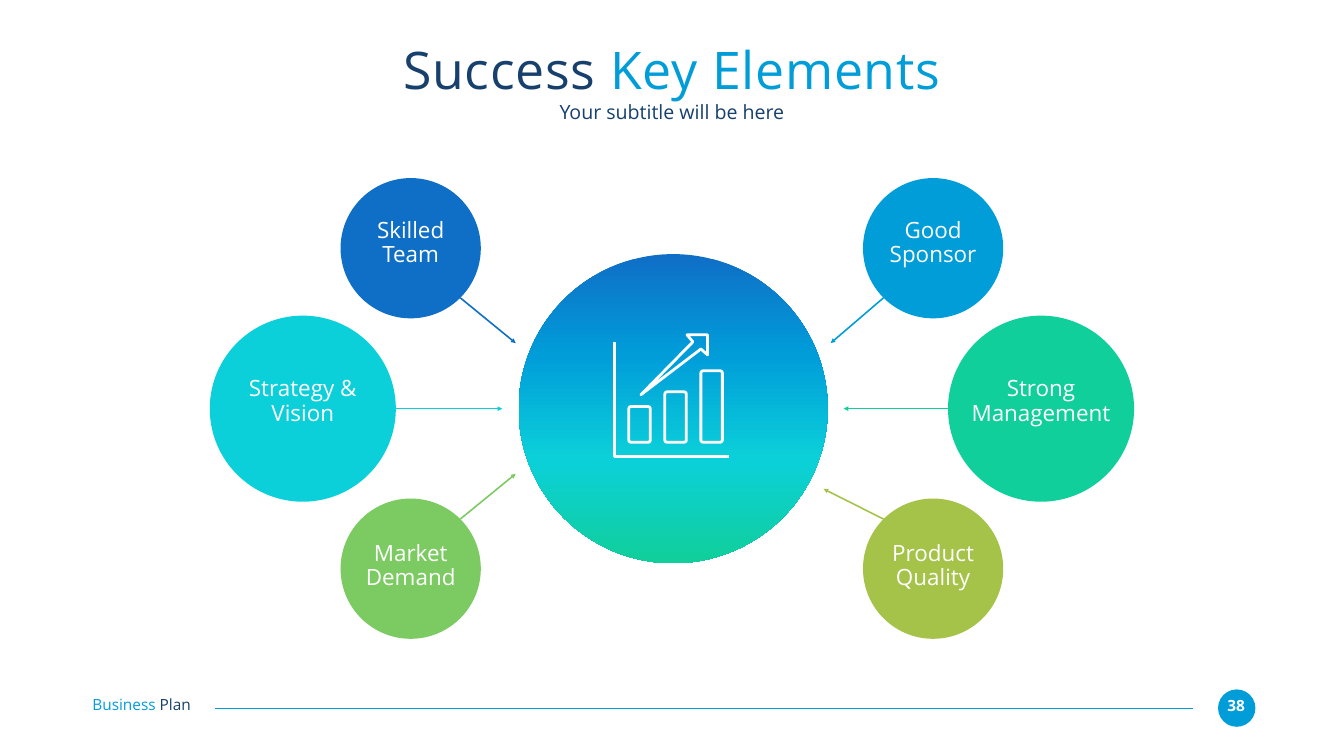
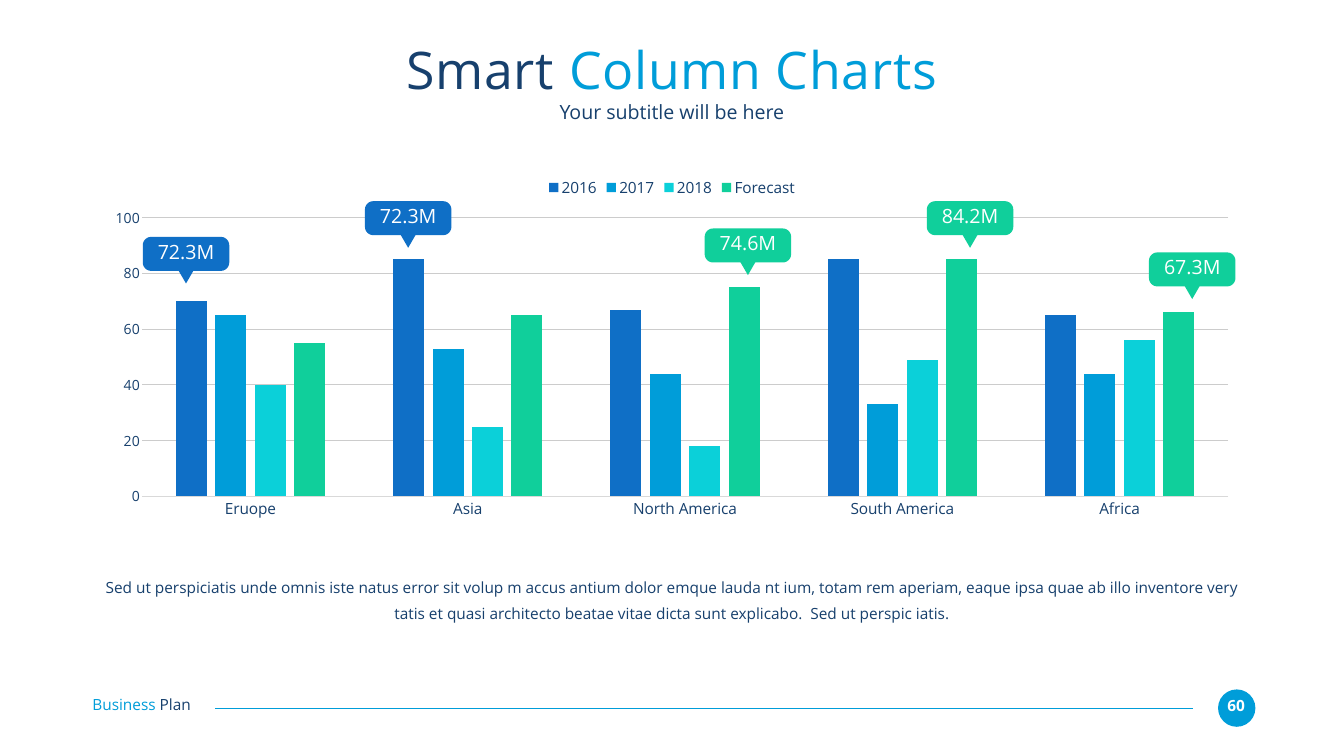
"""Build two business plan slides: key elements of success and a column chart."""
import math

import lxml.etree
import pptx
import pptx.chart.data
import pptx.dml.color
import pptx.enum.chart
import pptx.enum.shapes
import pptx.enum.text
import pptx.oxml.ns
import pptx.util

RGBColor = pptx.dml.color.RGBColor
Pt = pptx.util.Pt
SHAPE = pptx.enum.shapes.MSO_SHAPE
ALIGN = pptx.enum.text.PP_ALIGN
ANCHOR = pptx.enum.text.MSO_ANCHOR

NAVY = RGBColor(0x17, 0x40, 0x6D)
BLUE = RGBColor(0x0F, 0x6F, 0xC6)
SKY = RGBColor(0x00, 0x9D, 0xD9)
CYAN = RGBColor(0x0B, 0xD0, 0xD9)
MINT = RGBColor(0x10, 0xCF, 0x9B)
GREEN = RGBColor(0x7C, 0xCA, 0x62)
OLIVE = RGBColor(0xA5, 0xC2, 0x49)
WHITE = RGBColor(0xFF, 0xFF, 0xFF)
GRID_GREY = RGBColor(0xCC, 0xCC, 0xCC)
AXIS_GREY = RGBColor(0xD9, 0xD9, 0xD9)

FONT = "Open Sans"
WIDTH, HEIGHT = pptx.util.Inches(26.67), pptx.util.Inches(15)
CELL = HEIGHT / 90
MARGIN, CONTENT = 11, 138
CENTER = 80


def cells(*counts):
    """Turn counts of grid cells into lengths."""
    return [round(n * CELL) for n in counts]


def apply(obj, **values):
    """Set each named value as an attribute of obj."""
    for name, value in values.items():
        setattr(obj, name, value)


def add_tag(parent, tag, **attrs):
    """Append a drawing element with attributes to parent."""
    return lxml.etree.SubElement(parent, pptx.oxml.ns.qn(tag), attrs)


def paint(shape, fill=None, line=None, weight=4):
    """Give a shape its fill and outline, without a shadow."""
    shape.shadow.inherit = False
    for part, color in ((shape.fill, fill), (shape.line.fill, line)):
        if color is None:
            part.background()
        else:
            part.solid()
            part.fore_color.rgb = color
    if line is not None:
        shape.line.width = Pt(weight)
    return shape


def add_text(s, box, lines, size, spacing=0.9, align=ALIGN.CENTER,
             anchor=ANCHOR.TOP, bold=False, tracking=0, after=0):
    """Add a text box; each line is a list of (text, color) runs."""
    tf = s.shapes.add_textbox(*cells(*box)).text_frame
    apply(tf, word_wrap=True, vertical_anchor=anchor, margin_left=0,
          margin_right=0, margin_top=0, margin_bottom=0)
    for i, runs in enumerate(lines):
        p = tf.add_paragraph() if i else tf.paragraphs[0]
        apply(p, alignment=align, line_spacing=spacing, space_after=Pt(after))
        for text, color in runs:
            r = p.add_run()
            r.text = text
            apply(r.font, name=FONT, size=Pt(size), bold=bold)
            r.font.color.rgb = color
            if tracking:
                r.font._element.set("spc", str(tracking * 100))


def add_circle(s, cx, cy, diameter, color):
    """Add a filled circle around a centre."""
    box = cells(cx - diameter / 2, cy - diameter / 2, diameter, diameter)
    return paint(s.shapes.add_shape(SHAPE.OVAL, *box), color)


def add_line(s, start, end, color, weight, arrow=False):
    """Add a straight line, optionally with an arrowhead at its end."""
    straight = pptx.enum.shapes.MSO_CONNECTOR.STRAIGHT
    line = s.shapes.add_connector(straight, *cells(*start, *end))
    line.line.color.rgb = color
    line.line.width = Pt(weight)
    if arrow:
        add_tag(line._element.xpath(".//a:ln")[0], "a:tailEnd", type="triangle")
    add_tag(line._element.xpath("p:spPr")[0], "a:effectLst")


def add_outline(s, points, close=True):
    """Add a freeform through points given in cells."""
    first, *rest = [cells(*point) for point in points]
    builder = s.shapes.build_freeform(*first)
    builder.add_line_segments(rest, close=close)
    return builder.convert_to_shape()


def add_frame(prs, lead, accent, number):
    """Add a slide with the shared title, subtitle and footer."""
    s = prs.slides.add_slide(prs.slide_layouts[6])
    add_circle(s, 147.25, 84.3, 4.45, SKY)
    add_text(s, (145.4, 83.1, 3.55, 2.2), [[(number, WHITE)]], 22, bold=True)
    add_line(s, (142, 84.3), (25.6, 84.3), SKY, 1.5)
    add_text(s, (MARGIN, 83.05, 15.55, 2.2),
             [[("Business ", SKY), ("Plan", NAVY)]], 22, align=ALIGN.LEFT)
    add_text(s, (MARGIN, 4.4, CONTENT, 7.6), [[(lead, NAVY), (accent, SKY)]],
             74, spacing=1, anchor=ANCHOR.MIDDLE, tracking=1)
    add_text(s, (MARGIN, 12.2, CONTENT, 2.95),
             [[("Your subtitle will be here", NAVY)]], 28)
    return s


def add_hub(s):
    """Add the large gradient circle in the middle."""
    hub = add_circle(s, 80.15, 48.65, 36.8, BLUE)
    hub.fill.gradient()
    hub.fill.gradient_angle = 270
    stops = hub._element.xpath(".//a:gsLst")[0]
    stops.clear()
    for share, color in ((0, BLUE), (33, SKY), (66, CYAN), (100, MINT)):
        stop = add_tag(stops, "a:gs", pos=str(share * 1000))
        add_tag(stop, "a:srgbClr", val=str(color))


def add_growth_icon(s):
    """Add the white icon of axes, rising bars and an arrow."""
    axes = [(73.2, 40.7), (73.2, 54.35), (86.85, 54.35)]
    arrow = [(76.3, 47), (82.5, 40.7), (81.8, 39.85),
             (84.25, 39.85), (84.25, 42.25), (83.45, 41.55)]
    paint(add_outline(s, axes, close=False), line=WHITE)
    paint(add_outline(s, arrow), line=WHITE)
    for i, height in enumerate((4.25, 6, 8.5)):
        box = cells(74.87 + 4.29 * i, 52.65 - height, 2.56, height)
        bar = s.shapes.add_shape(SHAPE.ROUNDED_RECTANGLE, *box)
        bar.adjustments[0] = 0.1
        paint(bar, line=WHITE)


def add_element(s, lines, side, row, color, tip):
    """Add one labelled circle and its arrow; side is -1 left or 1 right."""
    reach, diameter, cy, label_cy, turn = (
        (31.1, 16.7, 29.55, 29.3, 45),
        (43.95, 22.15, 48.65, 48.2, 0),
        (31.1, 16.7, 67.7, 67.75, -45),
    )[row]
    cx, angle = CENTER + side * reach, math.radians(turn)
    start = (cx - side * diameter / 2 * math.cos(angle),
             cy + diameter / 2 * math.sin(angle))
    add_circle(s, cx, cy, diameter, color)
    add_line(s, start, tip, color, 2.25, arrow=True)
    width = 17.5 if len(lines) > 1 else 13.4
    add_text(s, (cx - width / 2, label_cy - 3.25, width, 6.5),
             [[(line, WHITE)] for line in lines], 32)


def add_callout(s, x, y, text, color):
    """Add a rounded label with a pointer below it."""
    width, height, radius, half, drop = 10.3, 4.05, 1, 0.87, 1.5
    corners = ((width - radius, radius, -90), (width - radius, height - radius, 0),
               (radius, height - radius, 90), (radius, radius, 180))
    points = []
    for i, (cx, cy, begin) in enumerate(corners):
        for step in range(0, 91, 15):
            a = math.radians(begin + step)
            points.append((x + cx + radius * math.cos(a),
                           y + cy + radius * math.sin(a)))
        if i == 1:
            points += [(x + width / 2 + half, y + height),
                       (x + width / 2, y + height + drop),
                       (x + width / 2 - half, y + height)]
    paint(add_outline(s, points), color)
    add_text(s, (x + 0.85, y + 0.63, width - 1.7, 2.8), [[(text, WHITE)]], 28)


def set_font(font, size):
    """Give chart text the common font and colour."""
    apply(font, name=FONT, size=Pt(size))
    font.color.rgb = NAVY


def add_column_chart(s):
    """Add the clustered columns by region and year."""
    data = pptx.chart.data.CategoryChartData()
    data.categories = ["Eruope", "Asia", "North America", "South America", "Africa"]
    series = (
        ("2016", (70, 85, 67, 85, 65), BLUE),
        ("2017", (65, 53, 44, 33, 44), SKY),
        ("2018", (40, 25, 18, 49, 56), CYAN),
        ("Forecast", (55, 65, 75, 85, 66), MINT),
    )
    for name, values, _ in series:
        data.add_series(name, values)
    kind = pptx.enum.chart.XL_CHART_TYPE.COLUMN_CLUSTERED
    box = cells(MARGIN, 20.3, CONTENT, 42.3)
    chart = s.shapes.add_chart(kind, *box, data).chart
    set_font(chart.font, 22)
    apply(chart, has_title=False, has_legend=True)
    apply(chart.legend, include_in_layout=False,
          position=pptx.enum.chart.XL_LEGEND_POSITION.TOP)
    set_font(chart.legend.font, 22)
    plot = chart.plots[0]
    apply(plot, gap_width=219, overlap=-27, vary_by_categories=False)
    for ser, (_, _, color) in zip(plot.series, series):
        ser.format.fill.solid()
        ser.format.fill.fore_color.rgb = color
    cat, val = chart.category_axis, chart.value_axis
    for axis, size in ((cat, 22), (val, 20)):
        set_font(axis.tick_labels.font, size)
        axis.major_tick_mark = pptx.enum.chart.XL_TICK_MARK.NONE
    apply(val, minimum_scale=0, maximum_scale=100, major_unit=20,
          has_major_gridlines=True)
    val.format.line.fill.background()
    for line, color, weight in ((cat.format.line, AXIS_GREY, 0.75),
                                (val.major_gridlines.format.line, GRID_GREY, 1)):
        line.color.rgb = color
        line.width = Pt(weight)


def build_key_elements(prs):
    """Build the slide of six elements around a hub."""
    s = add_frame(prs, "Success ", "Key Elements", "38")
    add_hub(s)
    for element in (
        (["Skilled Team"], -1, 0, BLUE, (61.4, 40.85)),
        (["Strategy & Vision"], -1, 1, CYAN, (59.8, 48.65)),
        (["Market Demand"], -1, 2, GREEN, (61.4, 56.4)),
        (["Good Sponsor"], 1, 0, SKY, (98.9, 40.85)),
        (["Strong", "Management"], 1, 1, MINT, (100.45, 48.65)),
        (["Product Quality"], 1, 2, OLIVE, (98.05, 58.2)),
    ):
        add_element(s, *element)
    add_growth_icon(s)


def build_column_charts(prs):
    """Build the slide of columns with callouts."""
    s = add_frame(prs, "Smart ", "Column Charts", "60")
    add_column_chart(s)
    text = ("Sed ut perspiciatis unde omnis iste natus error sit volup m accus "
            "antium dolor emque lauda nt ium, totam rem aperiam, eaque ipsa quae "
            "ab illo inventore very tatis et quasi architecto beatae vitae dicta "
            "sunt explicabo.  Sed ut perspic iatis.")
    add_text(s, (MARGIN, 68, CONTENT, 5.95), [[(text, NAVY)]], 22,
             spacing=1.4, after=36)
    for callout in (
        (17, 28.2, "72.3M", BLUE),
        (43.45, 23.95, "72.3M", BLUE),
        (83.9, 27.2, "74.6M", MINT),
        (110.35, 23.95, "84.2M", MINT),
        (136.8, 30.05, "67.3M", MINT),
    ):
        add_callout(s, *callout)


def main():
    """Build and save the presentation."""
    prs = pptx.Presentation()
    apply(prs, slide_width=WIDTH, slide_height=HEIGHT)
    build_key_elements(prs)
    build_column_charts(prs)
    prs.save("out.pptx")


if __name__ == "__main__":
    main()
